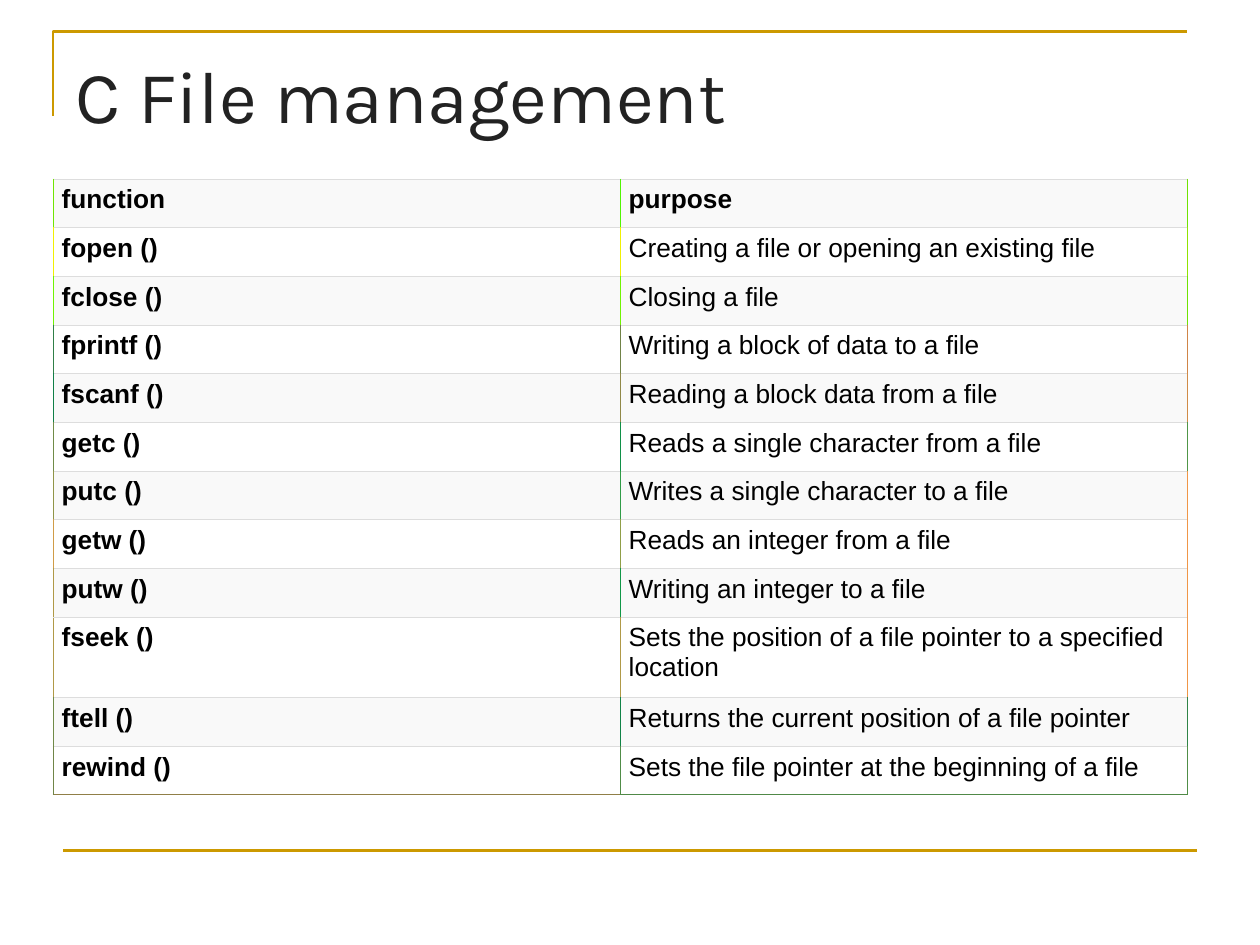
from lxml.etree import SubElement as Sub
from pptx import Presentation
from pptx.dml.color import RGBColor
from pptx.enum.shapes import MSO_CONNECTOR as Link
from pptx.enum.text import MSO_ANCHOR as Anchor, PP_ALIGN as Align
from pptx.oxml.ns import qn
from pptx.util import Inches, Pt

GOLD = RGBColor(0xCC, 0x99, 0x00)
INK = RGBColor(0x22, 0x22, 0x22)
BLACK = RGBColor(0x00, 0x00, 0x00)
WHITE = RGBColor(0xFF, 0xFF, 0xFF)
PALE = RGBColor(0xF9, 0xF9, 0xF9)
GREY = RGBColor(0xDD, 0xDD, 0xDD)
BASE = [RGBColor(0x90, 0x7F, 0x47), RGBColor(0x50, 0x89, 0x47)]

ROWS = [
    ("function", "purpose", "70E502 50F402 70E202"),
    ("fopen ()", "Creating a file or opening an existing file", "F0F002 F0F002 90E302"),
    ("fclose ()", "Closing a file", "70F302 70F302 70E202"),
    ("fprintf ()", "Writing a block of data to a file", "307F47 708247 D08547"),
    ("fscanf ()", "Reading a block data from a file", "107F47 908847 D08B47"),
    ("getc ()", "Reads a single character from a file", "708B47 109047 509647"),
    ("putc ()", "Writes a single character to a file", "909447 309C47 F09647"),
    ("getw ()", "Reads an integer from a file", "D09C47 909E47 F09647"),
    ("putw ()", "Writing an integer to a file", "B09947 109747 F09647"),
    ("fseek ()", "Sets the position of a file pointer to a specified location",
     "B09947 B09947 F09647"),
    ("ftell ()", "Returns the current position of a file pointer", "708A47 108347 308447"),
    ("rewind ()", "Sets the file pointer at the beginning of a file", "708547 508C47 508E47"),
]
TALL = 9


class Deck:
    """Holds the style and the current slide, and draws each kind of element."""

    def __init__(self):
        self.show = Presentation()
        self.show.slide_width, self.show.slide_height = Inches(10), Inches(7.5)
        self.slide = self.show.slides.add_slide(self.show.slide_layouts[5])
        self.head, self.body = "Karla", "Arial"

    def label(self, para, text, face, size, color, bold=False):
        run = para.add_run()
        run.text = text
        font = run.font
        font.name, font.size, font.bold = face, Pt(size), bold
        font.color.rgb = color

    def title(self, text, left, top, width, height):
        box = self.slide.shapes.title
        box.left, box.top = Inches(left), Inches(top)
        box.width, box.height = Inches(width), Inches(height)
        frame = box.text_frame
        frame.word_wrap, frame.vertical_anchor = True, Anchor.TOP
        frame.margin_left = frame.margin_top = Inches(0.1)
        para = frame.paragraphs[0]
        para.alignment = Align.LEFT
        self.label(para, text, self.head, 42, INK)

    def stroke(self, shape):
        shape.line.color.rgb, shape.line.width = GOLD, Pt(1.5)

    def corner(self, start, *rest):
        pen = self.slide.shapes.build_freeform(*map(Inches, start))
        pen.add_line_segments([tuple(map(Inches, spot)) for spot in rest], close=False)
        shape = pen.convert_to_shape()
        shape.shadow.inherit = False
        shape.fill.background()
        self.stroke(shape)

    def rule(self, left, right, y):
        line = self.slide.shapes.add_connector(
            Link.STRAIGHT, Inches(left), Inches(y), Inches(right), Inches(y))
        self.stroke(line)
        Sub(line.element.spPr, qn("a:effectLst"))

    def edge(self, cell, side, color, width):
        props = cell._tc.get_or_add_tcPr()
        line = Sub(props, qn(f"a:ln{side}"), w=str(Pt(width)))
        Sub(Sub(line, qn("a:solidFill")), qn("a:srgbClr"), val=str(color))

    def cell(self, cell, text, bold, fill, left, right, base):
        cell.margin_left = cell.margin_right = Inches(0.07)
        cell.margin_top = cell.margin_bottom = Inches(0.05)
        self.label(cell.text_frame.paragraphs[0], text, self.body, 15, BLACK, bold)
        self.edge(cell, "L", left, 0.45)
        self.edge(cell, "R", right, 0.45)
        self.edge(cell, "T", GREY, 0.34)
        self.edge(cell, "B", base, 0.34 if base == GREY else 0.45)
        cell.fill.solid()
        cell.fill.fore_color.rgb = fill

    def table(self, rows, left, top, width, height, tall):
        grid = self.slide.shapes.add_table(
            len(rows), 2, Inches(left), Inches(top), Inches(width), Inches(height)).table
        step = (height - tall) / (len(rows) - 1)
        for i, (name, use, tints) in enumerate(rows):
            grid.rows[i].height = Inches(tall if i == TALL else step)
            sides = [RGBColor.from_string(tint) for tint in tints.split()]
            fill = WHITE if i % 2 else PALE
            for j, text in enumerate((name, use)):
                base = BASE[j] if i == len(rows) - 1 else GREY
                self.cell(grid.cell(i, j), text, i == 0 or j == 0, fill,
                          sides[j], sides[j + 1], base)


def main():
    deck = Deck()
    deck.corner((0.42, 0.92), (0.42, 0.25), (9.42, 0.25))
    deck.rule(0.5, 9.5, 6.75)
    deck.title("C File management", 0.5, 0.3, 9, 1.25)
    deck.table(ROWS, 0.42, 1.42, 9, 4.89, 0.64)
    deck.show.save("out.pptx")


if __name__ == "__main__":
    main()
